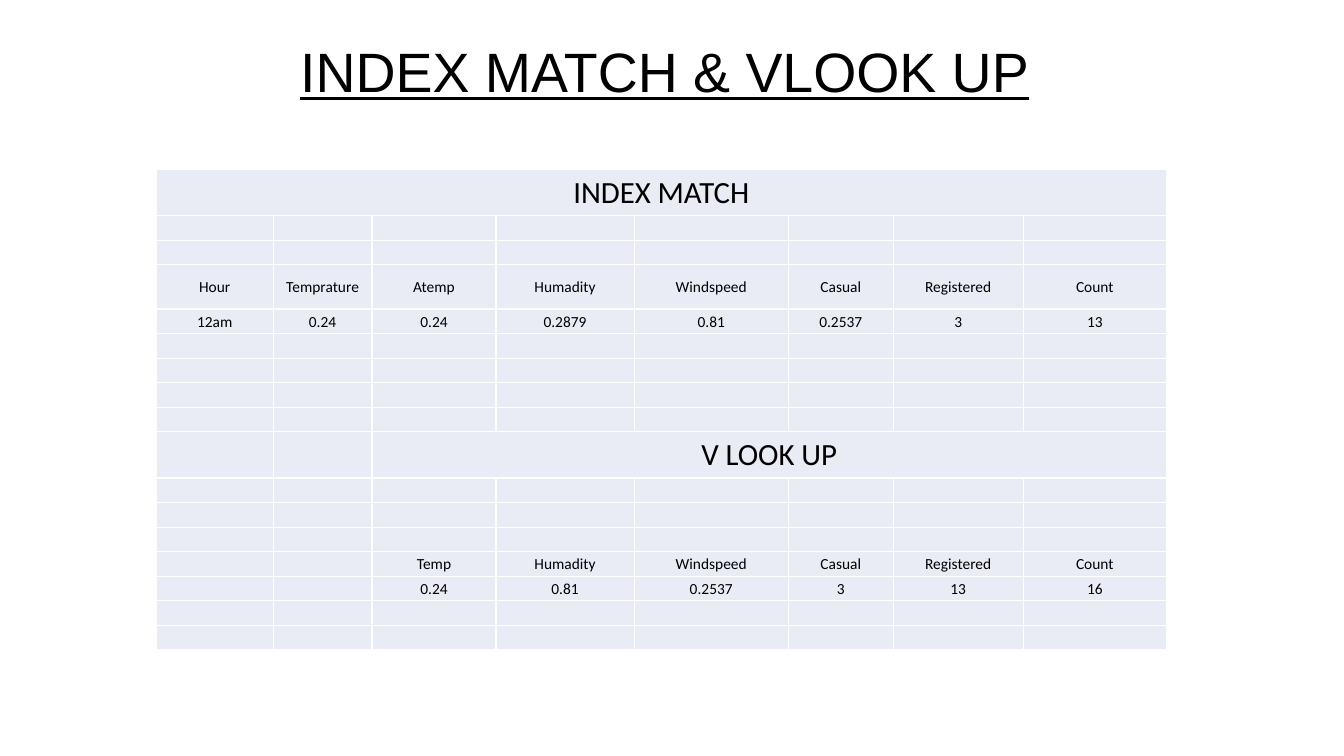
from lxml.etree import SubElement
from pptx import Presentation
from pptx.dml.color import RGBColor
from pptx.enum.text import MSO_ANCHOR, PP_ALIGN
from pptx.oxml.ns import qn
from pptx.util import Inches, Pt

BLACK = RGBColor(0x00, 0x00, 0x00)
PALE_BLUE = RGBColor(0xE9, 0xEB, 0xF5)
WHITE = RGBColor(0xFF, 0xFF, 0xFF)

TITLE = "INDEX MATCH & VLOOK UP"
# Row number: (first column, texts)
ROW_TEXTS = {
    3: (0, ["Hour", "Temprature", "Atemp", "Humadity", "Windspeed", "Casual", "Registered", "Count"]),
    4: (0, ["12am", "0.24", "0.24", "0.2879", "0.81", "0.2537", "3", "13"]),
    13: (2, ["Temp", "Humadity", "Windspeed", "Casual", "Registered", "Count"]),
    14: (2, ["0.24", "0.81", "0.2537", "3", "13", "16"]),
}
# Row number: (first column, heading that spans to the last column)
HEADINGS = {0: (0, "INDEX MATCH"), 9: (2, "V LOOK UP")}

COLUMN_WIDTHS = [1.16, 0.98, 1.23, 1.37, 1.53, 1.04, 1.29, 1.42]
TALL_ROWS = {0: 0.46, 3: 0.44, 9: 0.46}
ROW_COUNT = 17
TABLE_LEFT, TABLE_TOP, TABLE_HEIGHT = 1.55, 1.68, 4.77
PLAIN_ROW = (TABLE_HEIGHT - sum(TALL_ROWS.values())) / (ROW_COUNT - len(TALL_ROWS))
HEADING_SIZE, BODY_SIZE, TITLE_SIZE = Pt(22), Pt(11), Pt(39.6)


def add_run(paragraph, text, font_name, size):
    paragraph.alignment = PP_ALIGN.CENTER
    run = paragraph.add_run()
    run.text = text
    run.font.name = font_name
    run.font.size = size
    run.font.color.rgb = BLACK
    return run


def add_title(slide):
    box = slide.shapes.add_textbox(Inches(0.92), Inches(0.4), Inches(11.5), Inches(0.68))
    frame = box.text_frame
    frame.word_wrap = True
    frame.vertical_anchor = MSO_ANCHOR.MIDDLE
    frame.margin_right = Inches(0.25)
    paragraph = frame.paragraphs[0]
    paragraph.line_spacing = 0.9
    add_run(paragraph, TITLE, "Arial", TITLE_SIZE).font.underline = True


def style_cell(cell):
    """Give a cell its borders, fill, margins and the text size that keeps empty rows low."""
    properties = cell._tc.get_or_add_tcPr()
    for side in ("a:lnL", "a:lnR", "a:lnT", "a:lnB"):
        line = SubElement(properties, qn(side), w=str(Pt(1)))
        SubElement(SubElement(line, qn("a:solidFill")), qn("a:srgbClr"), val=str(WHITE))
    cell.fill.solid()
    cell.fill.fore_color.rgb = PALE_BLUE
    cell.margin_left = cell.margin_right = cell.margin_top = Inches(0.01)
    cell.margin_bottom = 0
    cell.vertical_anchor = MSO_ANCHOR.MIDDLE
    paragraph = cell.text_frame.paragraphs[0]
    SubElement(paragraph._p, qn("a:endParaRPr"), sz=str(int(BODY_SIZE.pt * 100)))


def add_lookup_table(slide):
    column_count = len(COLUMN_WIDTHS)
    frame = slide.shapes.add_table(
        ROW_COUNT, column_count, Inches(TABLE_LEFT), Inches(TABLE_TOP),
        Inches(sum(COLUMN_WIDTHS)), Inches(TABLE_HEIGHT))
    table = frame.table
    table.first_row = table.horz_banding = False
    for column, width in zip(table.columns, COLUMN_WIDTHS):
        column.width = Inches(width)
    for number, row in enumerate(table.rows):
        row.height = Inches(TALL_ROWS.get(number, PLAIN_ROW))
    for cell in table.iter_cells():
        style_cell(cell)

    for row, (first, heading) in HEADINGS.items():
        cell = table.cell(row, first)
        cell.merge(table.cell(row, column_count - 1))
        add_run(cell.text_frame.paragraphs[0], heading, "Calibri", HEADING_SIZE)
    for row, (first, texts) in ROW_TEXTS.items():
        for column, text in enumerate(texts, first):
            add_run(table.cell(row, column).text_frame.paragraphs[0], text, "Calibri", BODY_SIZE)


def main():
    presentation = Presentation()
    presentation.slide_width = Inches(13.33)
    presentation.slide_height = Inches(7.5)
    slide = presentation.slides.add_slide(presentation.slide_layouts[6])
    add_title(slide)
    add_lookup_table(slide)
    presentation.save("out.pptx")


if __name__ == "__main__":
    main()
